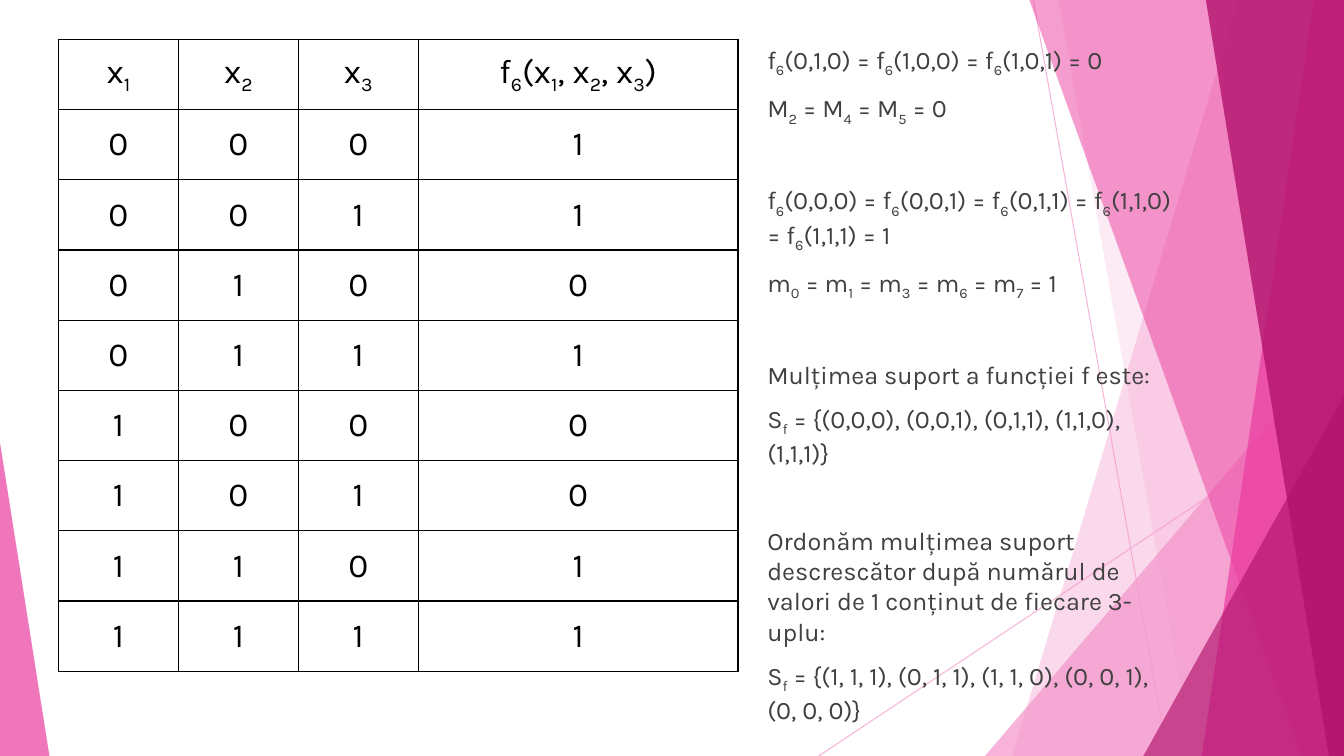
from itertools import product

from lxml.etree import SubElement
from pptx import Presentation
from pptx.dml.color import RGBColor
from pptx.enum.shapes import MSO_CONNECTOR as Connector, MSO_SHAPE as Preset
from pptx.enum.text import MSO_ANCHOR as Anchor, MSO_AUTO_SIZE as AutoSize, PP_ALIGN as Align
from pptx.oxml.ns import qn
from pptx.util import Inches, Pt

BLACK = RGBColor(0x00, 0x00, 0x00)
GREY = RGBColor(0x40, 0x40, 0x40)
PINK = RGBColor(0xF4, 0x96, 0xCB)
MAGENTA = RGBColor(0xEB, 0x3D, 0x9F)
PLUM = RGBColor(0xB2, 0x13, 0x6D)
FONT = "Karla"

HEADINGS = ["x_1", "x_2", "x_3", "f_6(x_1, x_2, x_3)"]
F6_VALUES = [1, 1, 0, 1, 0, 0, 1, 1]
COLUMN_SHARES = [0.1765, 0.1765, 0.1765, 0.4705]

NOTES = [
    ["f_6(0,1,0) = f_6(1,0,0) = f_6(1,0,1) = 0",
     "M_2 = M_4 = M_5 = 0"],
    ["f_6(0,0,0) = f_6(0,0,1) = f_6(0,1,1) = f_6(1,1,0) = f_6(1,1,1) = 1",
     "m_0 = m_1 = m_3 = m_6 = m_7 = 1"],
    ["Mulțimea suport a funcției f este:",
     "S_f = {(0,0,0), (0,0,1), (0,1,1), (1,1,0), (1,1,1)}"],
    ["Ordonăm mulțimea suport descrescător după numărul de valori de 1 "
     "conținut de fiecare 3-uplu:",
     "S_f = {(1, 1, 1), (0, 1, 1), (1, 1, 0), (0, 0, 1), (0, 0, 0)}"],
]


def add_alpha(drawn, percent):
    color = drawn.element.spPr.find(".//" + qn("a:srgbClr"))
    SubElement(color, qn("a:alpha"), val=str(percent * 1000))


def write_formula(paragraph, formula, size, color):
    def add_run(text, subscript=False):
        run = paragraph.add_run()
        run.text = text
        run.font.name, run.font.size = FONT, Pt(size)
        run.font.color.rgb = color
        if subscript:
            run._r.get_or_add_rPr().set("baseline", "-25000")

    first, *indexed = formula.split("_")
    add_run(first)
    for part in indexed:
        add_run(part[0], subscript=True)
        if part[1:]:
            add_run(part[1:])


def draw_facets(slide, box):
    left, top, width, height = box

    def place(x, y):
        return round(left + width * x / 100), round(top + height * y / 100)

    def tint(facet, color, alpha):
        facet.fill.solid()
        facet.fill.fore_color.rgb = color
        add_alpha(facet, alpha)
        facet.line.fill.background()
        facet.shadow.inherit = False

    def ray(start, end):
        line = slide.shapes.add_connector(Connector.STRAIGHT, *place(*start), *place(*end))
        line.line.color.rgb = PINK
        line.line.width = Pt(0.75)
        add_alpha(line, 70)
        SubElement(line.element.spPr, qn("a:effectLst"))

    def band(top_x, bottom_x, color, alpha):
        outline = slide.shapes.build_freeform(*place(top_x, 0))
        outline.add_line_segments([place(100, 0), place(100, 100), place(bottom_x, 100)])
        tint(outline.convert_to_shape(), color, alpha)

    def corner(start_x, end_x, peak_y, peak, color, alpha):
        x, y = place(start_x, peak_y)
        right, bottom = place(end_x, 100)
        triangle = slide.shapes.add_shape(Preset.ISOSCELES_TRIANGLE, x, y, right - x, bottom - y)
        triangle.adjustments[0] = peak
        tint(triangle, color, alpha)

    ray((76.89, 0), (86.87, 100))
    ray((100, 53.73), (60.92, 100))
    band(92.12, 75.32, PINK, 36)
    band(78.77, 88.75, PINK, 20)
    corner(73.29, 100, 44.4, 1, PINK, 72)
    band(76.59, 96.85, MAGENTA, 50)
    band(97.75, 89.42, MAGENTA, 70)
    band(89.72, 98.87, PLUM, 80)
    corner(85.07, 100, 52.4, 1, PLUM, 66)
    corner(0, 3.68, 58.53, 0, MAGENTA, 70)


def fill_notes(notes, box):
    notes.left, notes.top, notes.width, notes.height = box
    frame = notes.text_frame
    frame.word_wrap = True
    frame.auto_size = AutoSize.NONE
    frame.vertical_anchor = Anchor.TOP
    paragraph = frame.paragraphs[0]
    for group_index, group in enumerate(NOTES):
        for line_index, formula in enumerate(group):
            if group_index or line_index:
                paragraph = frame.add_paragraph()
            opens_group = group_index and not line_index
            paragraph.space_before = Pt(41 if opens_group else 10)
            paragraph.alignment = Align.LEFT
            properties = paragraph._p.get_or_add_pPr()
            properties.set("marL", "0")
            properties.set("indent", "0")
            SubElement(properties, qn("a:buNone"))
            write_formula(paragraph, formula, 18, GREY)


def add_borders(cell):
    properties = cell._tc.get_or_add_tcPr()
    for side in ("lnL", "lnR", "lnT", "lnB"):
        border = SubElement(properties, qn("a:" + side), w=str(Pt(1)))
        SubElement(SubElement(border, qn("a:solidFill")), qn("a:srgbClr"), val=str(BLACK))


def draw_truth_table(slide, box):
    inputs = product((0, 1), repeat=3)
    rows = [HEADINGS] + [[*bits, value] for bits, value in zip(inputs, F6_VALUES)]
    table = slide.shapes.add_table(len(rows), len(HEADINGS), *box).table
    table.first_row = table.horz_banding = False
    for column, share in zip(table.columns, COLUMN_SHARES):
        column.width = round(box[2] * share)
    for row_index, row in enumerate(rows):
        table.rows[row_index].height = round(box[3] / len(rows))
        for column_index, value in enumerate(row):
            cell = table.cell(row_index, column_index)
            add_borders(cell)
            cell.fill.background()
            cell.vertical_anchor = Anchor.MIDDLE
            paragraph = cell.text_frame.paragraphs[0]
            paragraph.alignment = Align.CENTER
            write_formula(paragraph, str(value), 24, BLACK)


def build_truth_table_slide(deck):
    slide = deck.slides.add_slide(deck.slide_layouts[1])
    title = slide.shapes.title.element
    title.getparent().remove(title)
    notes = slide.placeholders[1]
    width, height = deck.slide_width, deck.slide_height

    def area(x, y, w, h):
        return [round(width * x / 100), round(height * y / 100),
                round(width * w / 100), round(height * h / 100)]

    draw_facets(slide, area(0, 0, 100, 100))
    notes.element.getparent().append(notes.element)
    fill_notes(notes, area(56.34, 5.2, 31.81, 83.6))
    draw_truth_table(slide, area(4.35, 5.2, 50.56, 83.6))


deck = Presentation()
deck.slide_width, deck.slide_height = Inches(13.33), Inches(7.5)
build_truth_table_slide(deck)
deck.save("out.pptx")
